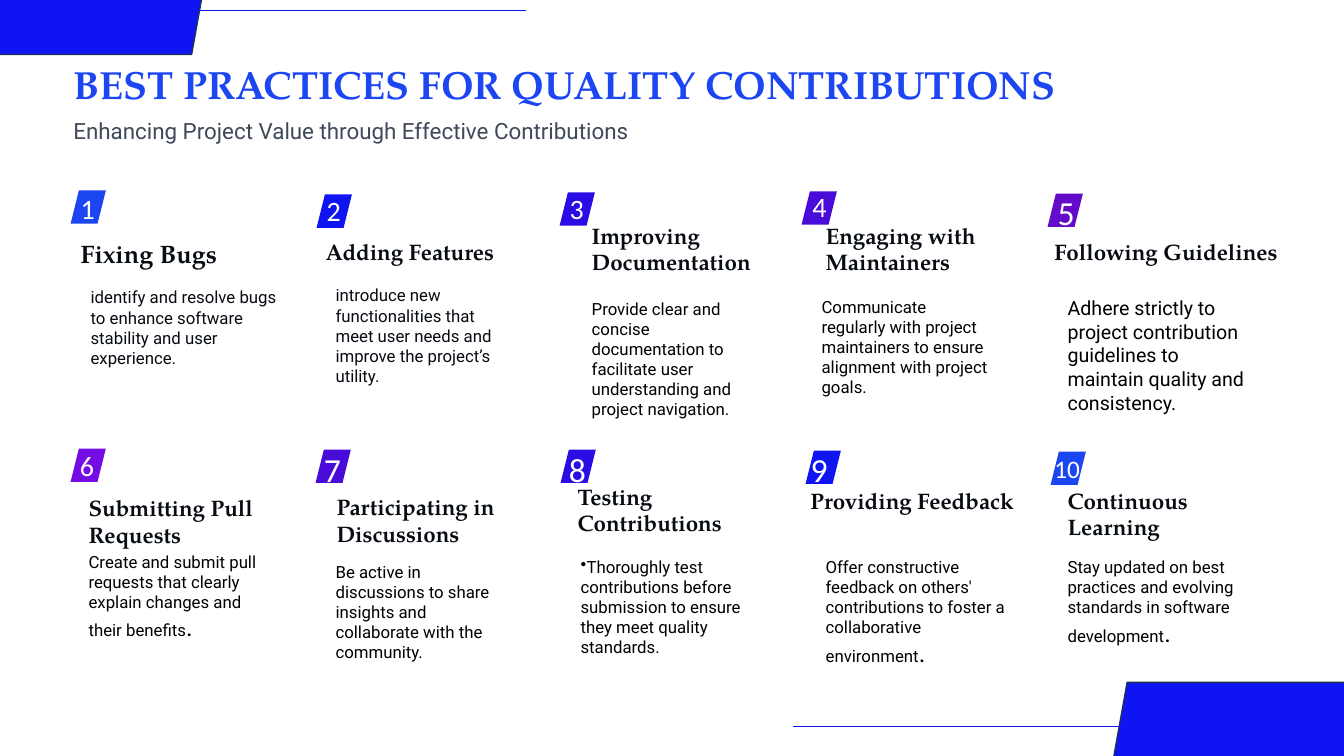
from lxml import etree
from pptx import Presentation
from pptx.dml.color import RGBColor
from pptx.enum.shapes import MSO_CONNECTOR, MSO_SHAPE
from pptx.enum.text import MSO_AUTO_SIZE
from pptx.oxml.ns import qn
from pptx.util import Inches, Pt

PARALLELOGRAM = MSO_SHAPE.PARALLELOGRAM
STRAIGHT = MSO_CONNECTOR.STRAIGHT
GROW = MSO_AUTO_SIZE.SHAPE_TO_FIT_TEXT

SERIF, SANS, DIGITS = "TeX Gyre Pagella", "Roboto", "Calibri"
COLORS = {
    "title": "1D46F3", "subtitle": "404959", "ink": "070B12", "black": "000000",
    "white": "FFFFFF", "outline": "1E3256", "azure": "1D46F3", "blue": "0E15F2",
    "indigo": "2A0CE5", "violet": "490BD7", "purple": "630BC8", "bright": "740CE6",
}

TITLE = "BEST PRACTICES FOR QUALITY CONTRIBUTIONS"
SUBTITLE = "Enhancing Project Value through Effective Contributions"

# Corner bands: parallelogram left and top, then line start, end and height
CORNERS = [
    ((10.83, 6.77), (12.22, 7.87, 7.21)),
    ((-0.53, -1.4), (0.86, 5.22, 0.1)),
]
CORNER_SIZE = (2.78, 1.94)
BADGE_SIZE = (0.35, 0.33)

# Badge: left, top, colour. Digit: left, top, width, points.
# Heading and body: left, top, width, height, points, text (body also colour).
PRACTICES = [
    ((0.7, 1.89, "azure"), (0.7, 1.85, 0.22, 20),
     (0.7, 2.32, 2.08, 0.4, 18, "Fixing Bugs"),
     (0.8, 2.8, 2.08, 0.91, 12, "identify and resolve bugs to enhance software "
      "stability and user experience.", "ink")),
    ((3.14, 1.93, "blue"), (3.14, 1.87, 0.22, 20),
     (3.13, 2.31, 2.01, 0.37, 16, "Adding Features"),
     (3.23, 2.78, 1.97, 1.11, 12, "introduce new functionalities that meet user "
      "needs and improve the project’s utility.", "ink")),
    ((5.55, 1.91, "indigo"), (5.55, 1.85, 0.22, 20),
     (5.77, 2.15, 1.89, 0.64, 16, "Improving Documentation"),
     (5.77, 2.91, 1.89, 1.31, 12, "Provide clear and concise documentation to "
      "facilitate user understanding and project navigation.", "black")),
    ((7.95, 1.9, "violet"), (7.96, 1.83, 0.22, 20),
     (8.09, 2.15, 2.02, 0.64, 16, "Engaging with Maintainers"),
     (8.05, 2.89, 1.89, 1.11, 12, "Communicate regularly with project maintainers "
      "to ensure alignment with project goals.", "black")),
    ((10.39, 1.92, "purple"), (10.39, 1.85, 0.31, 24),
     (10.36, 2.31, 2.47, 0.37, 16, "Following Guidelines"),
     (10.49, 2.89, 2.03, 1.28, 14, "Adhere strictly to project contribution "
      "guidelines to maintain quality and consistency.", "black")),
    ((0.7, 4.45, "bright"), (0.71, 4.4, 0.18, 20),
     (0.78, 4.85, 2.08, 0.64, 16, "Submitting Pull Requests"),
     (0.78, 5.42, 1.92, 1.21, 12, "Create and submit pull requests that clearly "
      "explain changes and their benefits.", "black")),
    ((3.13, 4.46, "violet"), (3.12, 4.4, 0.19, 24),
     (3.24, 4.84, 1.99, 0.64, 16, "Participating in Discussions"),
     (3.23, 5.52, 1.88, 1.11, 12, "Be active in discussions to share insights and "
      "collaborate with the community.", "black")),
    ((5.56, 4.46, "indigo"), (5.57, 4.4, 0.17, 24),
     (5.63, 4.74, 2.03, 0.64, 16, "Testing Contributions"),
     (5.66, 5.47, 1.89, 1.11, 12, "Thoroughly test contributions before submission "
      "to ensure they meet quality standards.", "black")),
    ((7.99, 4.47, "blue"), (8.01, 4.4, 0.13, 24),
     (7.94, 4.78, 2.27, 0.37, 16, "Providing Feedback"),
     (8.09, 5.47, 2.02, 1.21, 12, "Offer constructive feedback on others' "
      "contributions to foster a collaborative environment.", "black")),
    ((10.42, 4.48, "azure"), (10.36, 4.45, 0.63, 18),
     (10.49, 4.78, 2.03, 0.64, 16, "Continuous Learning"),
     (10.49, 5.47, 2.03, 1.01, 12, "Stay updated on best practices and evolving "
      "standards in software development.", "black")),
]
LARGE_STOPS = {6, 9, 10}  # bodies whose full stop is set larger
LARGE_STOP_SIZE = 18
BULLETED = {8}


def rgb(name):
    return RGBColor.from_string(COLORS[name])


def style(span, font, size, color, bold=False):
    span.font.name = font
    span.font.size = Pt(size)
    span.font.bold = bold
    span.font.color.rgb = rgb(color)


def add_text(shapes, frame, text, font, size, color, bold=False):
    box = shapes.add_textbox(*map(Inches, frame))
    box.text_frame.word_wrap = True
    box.text_frame.auto_size = GROW
    para = box.text_frame.paragraphs[0]
    para.text = text
    style(para.runs[0], font, size, color, bold)
    return para


def add_parallelogram(shapes, frame, color):
    shape = shapes.add_shape(PARALLELOGRAM, *map(Inches, frame))
    shape.shadow.inherit = False
    shape.fill.solid()
    shape.fill.fore_color.rgb = rgb(color)
    shape.line.fill.background()
    return shape


def add_corner(shapes, position, line):
    band = add_parallelogram(shapes, position + CORNER_SIZE, "blue")
    band.adjustments[0] = 0.18
    band.line.color.rgb = rgb("outline")
    band.line.width = Pt(1)
    start, end, height = map(Inches, line)
    rule = shapes.add_connector(STRAIGHT, start, height, end, height)
    rule.line.color.rgb = rgb("blue")
    rule.line.width = Pt(0.5)
    etree.SubElement(rule._element.spPr, qn("a:effectLst"))


def add_practice(shapes, number, badge, digit, heading, body):
    *frame, size, text = heading
    add_text(shapes, frame, text, SERIF, size, "ink", bold=True)

    *frame, size, text, color = body
    large_stop = number in LARGE_STOPS
    para = add_text(shapes, frame, text[:-1] if large_stop else text, SANS, size, color)
    if large_stop:
        stop = para.add_run()
        stop.text = text[-1]
        style(stop, SANS, LARGE_STOP_SIZE, color)
    if number in BULLETED:
        etree.SubElement(para._p.get_or_add_pPr(), qn("a:buChar"), char="•")

    left, top, color = badge
    add_parallelogram(shapes, (left, top) + BADGE_SIZE, color)
    left, top, width, size = digit
    height = 0.1 + size * 1.2 / 72
    add_text(shapes, (left, top, width, height), str(number), DIGITS, size, "white")


def main():
    deck = Presentation()
    deck.slide_width, deck.slide_height = Inches(13.33), Inches(7.5)
    page = deck.slides.add_slide(deck.slide_layouts[6])

    # Title and subtitle
    add_text(page.shapes, (0.63, 0.55, 10.74, 0.57), TITLE, SERIF, 28, "title", bold=True)
    add_text(page.shapes, (0.63, 1.11, 9.18, 0.37), SUBTITLE, SANS, 16, "subtitle")

    # Corner bands
    for position, line in CORNERS:
        add_corner(page.shapes.add_group_shape().shapes, position, line)

    # Ten numbered practices
    for number, parts in enumerate(PRACTICES, start=1):
        add_practice(page.shapes.add_group_shape().shapes, number, *parts)

    deck.save("out.pptx")


if __name__ == "__main__":
    main()
